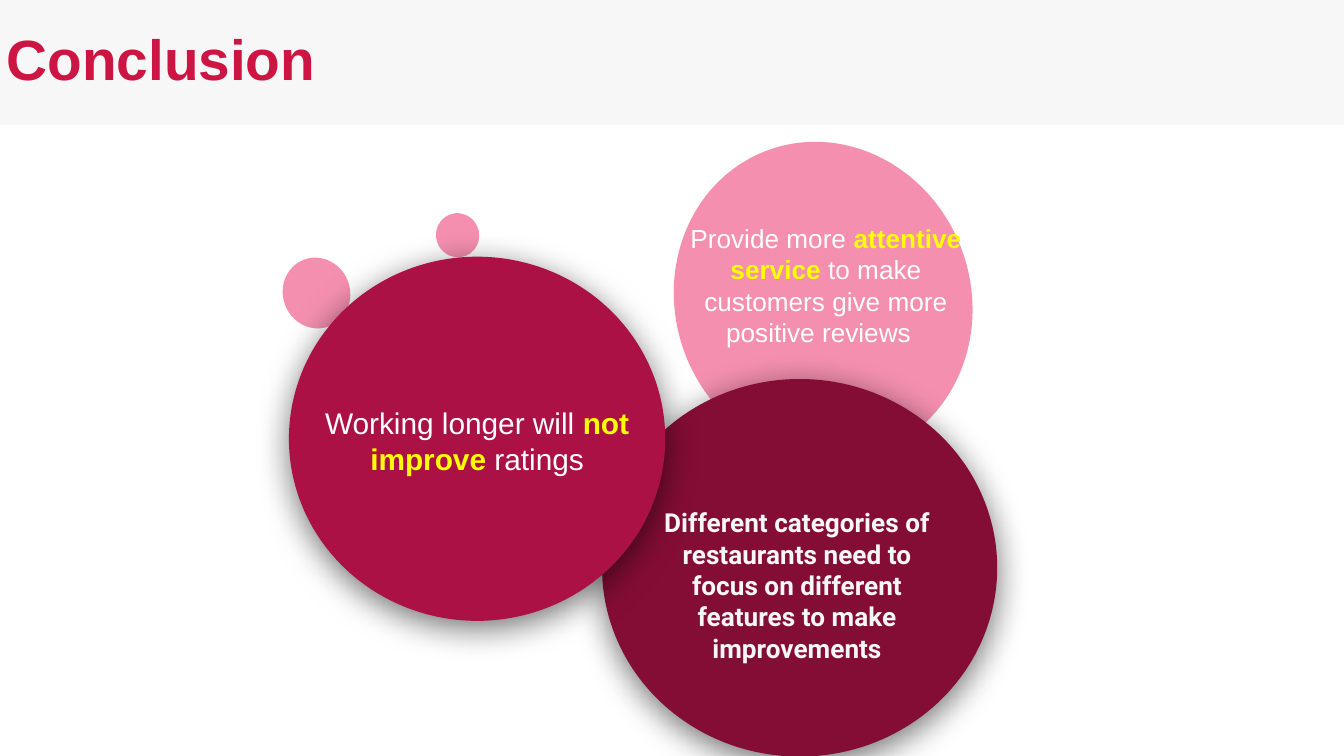
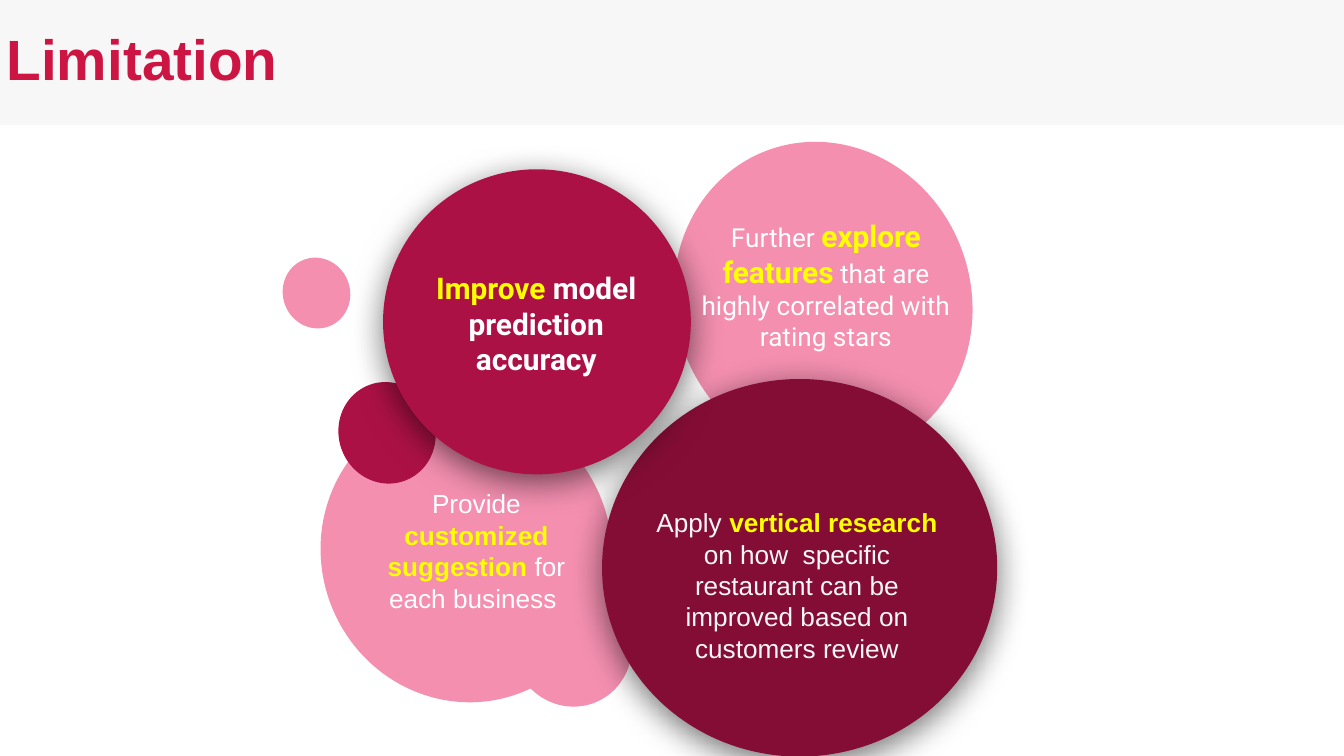
from dataclasses import dataclass

from lxml.etree import SubElement
from pptx import Presentation
from pptx.dml.color import RGBColor
from pptx.enum.shapes import MSO_SHAPE as Preset
from pptx.enum.text import MSO_ANCHOR as Anchor, MSO_AUTO_SIZE as AutoSize, PP_ALIGN as Align
from pptx.oxml.ns import qn
from pptx.shapes.autoshape import Shape
from pptx.slide import Slide
from pptx.text.text import TextFrame
from pptx.util import Emu, Pt

PX = 9144  # 100 px to the inch
SLIDE_WIDTH = 1000


@dataclass(frozen=True)
class Theme:
    band: str = "F7F7F7"
    title: str = "CD1543"
    pink: str = "F48FB0"
    crimson: str = "AC1145"
    maroon: str = "840D35"
    white: str = "FFFFFF"
    highlight: str = "FFFF00"
    arial: str = "Arial"
    roboto: str = "Roboto"
    title_size: float = 30.4
    large: int = 16
    body: int = 14


THEME = Theme()


@dataclass(frozen=True)
class Box:
    left: int
    top: int
    width: int
    height: int


@dataclass(frozen=True)
class Bubble:
    box: Box
    color: str
    rotation: int = 250
    raised: bool = False


@dataclass(frozen=True)
class Words:
    text: str
    color: str = THEME.white
    bold: bool = False
    size: float = THEME.body


@dataclass(frozen=True)
class Message:
    box: Box
    words: tuple[Words, ...]
    font: str = THEME.arial
    fitted: bool = False


@dataclass(frozen=True)
class Page:
    title: str
    small_bubbles: tuple[Bubble, ...]
    lead_bubble: Bubble
    messages: tuple[Message, ...]


def key(text: str, size: float = THEME.body) -> Words:
    """Highlighted words."""
    return Words(text, THEME.highlight, True, size)


def emu(box: Box) -> tuple[Emu, ...]:
    return tuple(Emu(side * PX) for side in (box.left, box.top, box.width, box.height))


def write(frame: TextFrame, words: tuple[Words, ...], *, font: str, inset: int,
          align: Align = Align.CENTER, anchor: Anchor = Anchor.MIDDLE,
          line_spacing: float | None = None) -> None:
    frame.word_wrap = True
    frame.vertical_anchor = anchor
    frame.margin_left = frame.margin_right = Emu(inset * PX)
    frame.margin_top = frame.margin_bottom = Emu(inset * PX)
    paragraph = frame.paragraphs[0]
    paragraph.alignment = align
    if line_spacing:
        paragraph.line_spacing = line_spacing
    for part in words:
        run = paragraph.add_run()
        run.text = part.text
        run.font.name = font
        run.font.size = Pt(part.size)
        run.font.bold = part.bold
        run.font.color.rgb = RGBColor.from_string(part.color)


def add_filled(slide: Slide, preset: Preset, box: Box, color: str) -> Shape:
    shape = slide.shapes.add_shape(preset, *emu(box))
    shape.shadow.inherit = False
    shape.fill.solid()
    shape.fill.fore_color.rgb = RGBColor.from_string(color)
    shape.line.fill.background()
    return shape


def add_shadow(shape: Shape) -> None:
    effects = shape.element.spPr.find(qn("a:effectLst"))
    shadow = SubElement(effects, qn("a:outerShdw"), blurRad=str(Pt(18)), dist=str(Pt(4)),
                        dir="5400000", algn="ctr", rotWithShape="0")
    black = SubElement(shadow, qn("a:srgbClr"), val="000000")
    SubElement(black, qn("a:alpha"), val="55000")


def add_bubble(slide: Slide, bubble: Bubble) -> None:
    circle = add_filled(slide, Preset.OVAL, bubble.box, bubble.color)
    circle.rotation = bubble.rotation
    if bubble.raised:
        add_shadow(circle)


def add_message(slide: Slide, message: Message) -> None:
    frame = slide.shapes.add_textbox(*emu(message.box)).text_frame
    write(frame, message.words, font=message.font, inset=10,
          anchor=Anchor.TOP if message.fitted else Anchor.MIDDLE)
    if message.fitted:
        frame.auto_size = AutoSize.SHAPE_TO_FIT_TEXT


def add_title_band(slide: Slide, title: str) -> None:
    band = add_filled(slide, Preset.RECTANGLE, Box(0, 0, SLIDE_WIDTH, 93), THEME.band)
    write(band.text_frame, (Words(title, THEME.title, True, THEME.title_size),),
          font=THEME.arial, inset=5, align=Align.LEFT, line_spacing=0.9)


# Bubbles found on both slides
SHARED_BUBBLES = (
    Bubble(Box(209, 193, 53, 50), THEME.pink),
    Bubble(Box(493, 114, 239, 220), THEME.pink),
    Bubble(Box(324, 159, 33, 32), THEME.pink),
    Bubble(Box(448, 282, 294, 281), THEME.maroon, 0, True),
)
UPPER_RIGHT = Box(500, 143, 229, 138)

CONCLUSION = Page(
    "Conclusion",
    (),
    Bubble(Box(215, 191, 280, 271), THEME.crimson, 0, True),
    (
        Message(UPPER_RIGHT, (
            Words("Provide more "), key("attentive service "), Words("to ", THEME.band),
            Words("make customers give more positive reviews  "))),
        Message(Box(228, 212, 254, 232), (
            Words("Working longer will ", size=THEME.large),
            key("not improve ", THEME.large), Words("ratings", size=THEME.large))),
        Message(Box(474, 367, 238, 114), (
            Words("Different categories of restaurants need to focus on different "
                  "features to make improvements", THEME.band, True),),
            THEME.roboto, True),
    ),
)

LIMITATION = Page(
    "Limitation",
    (
        Bubble(Box(379, 435, 93, 89), THEME.pink),
        Bubble(Box(235, 303, 224, 216), THEME.pink),
        Bubble(Box(250, 286, 76, 72), THEME.crimson),
    ),
    Bubble(Box(285, 126, 229, 227), THEME.crimson, 0, True),
    (
        Message(UPPER_RIGHT, (
            Words("Further "), key("explore features", THEME.large),
            Words(" that are highly correlated with rating stars")), THEME.roboto),
        Message(Box(295, 143, 208, 195), (
            key("Improve ", THEME.large),
            Words("model prediction accuracy", bold=True, size=THEME.large)), THEME.roboto),
        Message(Box(270, 353, 169, 114), (
            Words("Provide "), key("customized suggestion"),
            Words(" for each business ")), fitted=True),
        Message(Box(474, 367, 238, 136), (
            Words("Apply ", THEME.band), key("vertical research"),
            Words(" on how  specific restaurant can be improved based on customers review",
                  THEME.band)), fitted=True),
    ),
)


def add_page(deck: Presentation, page: Page) -> None:
    slide = deck.slides.add_slide(deck.slide_layouts[6])
    add_title_band(slide, page.title)
    for bubble in (*page.small_bubbles, *SHARED_BUBBLES, page.lead_bubble):
        add_bubble(slide, bubble)
    for message in page.messages:
        add_message(slide, message)


def main() -> None:
    deck = Presentation()
    deck.slide_width = Emu(SLIDE_WIDTH * PX)
    deck.slide_height = Emu(SLIDE_WIDTH * PX * 9 // 16)
    for page in (CONCLUSION, LIMITATION):
        add_page(deck, page)
    deck.save("out.pptx")


if __name__ == "__main__":
    main()
